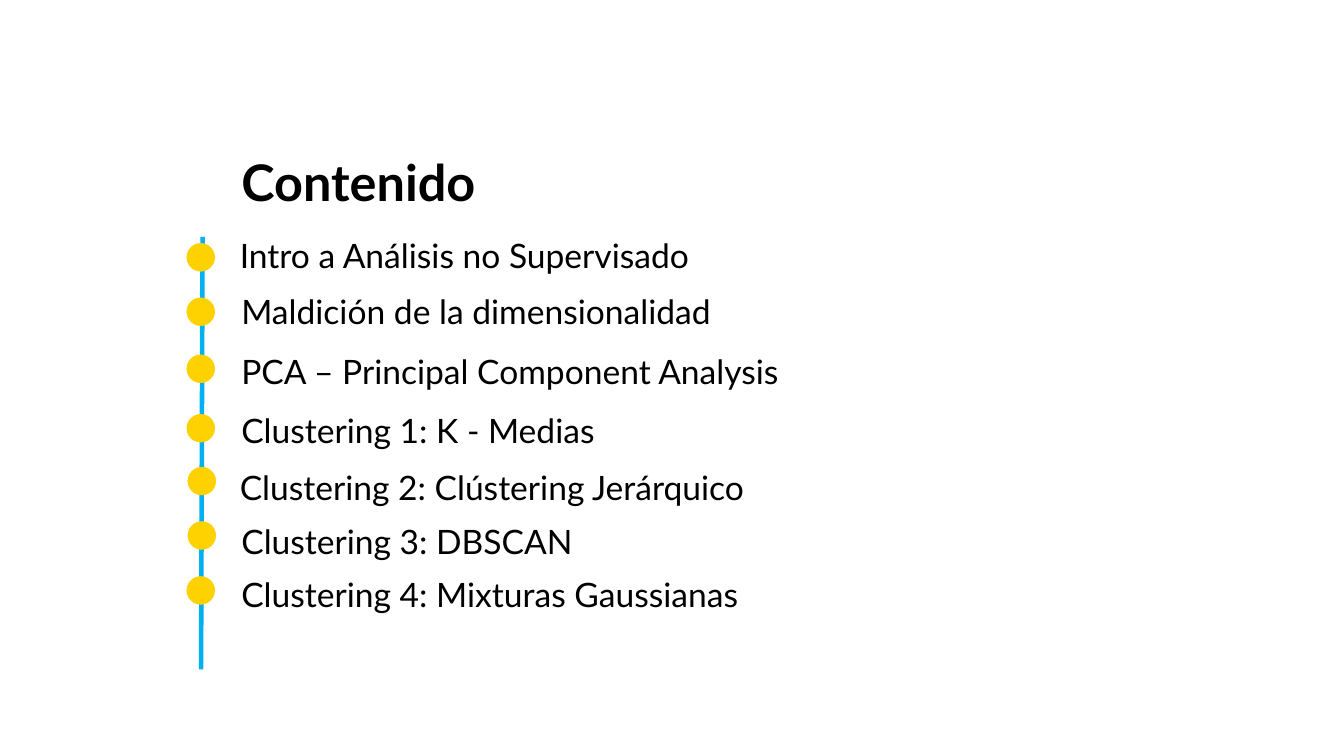
from lxml.etree import SubElement
from pptx import Presentation
from pptx.dml.color import RGBColor
from pptx.enum.shapes import MSO_CONNECTOR as Connector, MSO_SHAPE as Shape
from pptx.enum.text import MSO_ANCHOR as Anchor, MSO_AUTO_SIZE as AutoSize, PP_ALIGN as Align
from pptx.oxml.ns import qn
from pptx.util import Pt

FONT = "Lato"
BLACK, BLUE, YELLOW = "000000", "00B0F0", "FED200"
DOT_SIZE = 39.6

# text, left, top, width, alignment, dot left, dot top
TOPICS = [
    ("Intro a Análisis no Supervisado", 335.5, 332, 889, Align.LEFT, 267, 347.8),
    ("Maldición de la dimensionalidad", 337.7, 412.6, 887, Align.LEFT, 267, 425.5),
    ("PCA – Principal Component Analysis", 337.7, 497.5, 1480, Align.LEFT, 267, 507),
    ("Clustering 1: K - Medias", 337.7, 582.5, 1022, Align.JUSTIFY, 267, 592),
    ("Clustering 2: Clústering Jerárquico", 335.5, 663, 887, Align.JUSTIFY, 268.5, 667.5),
    ("Clustering 3: DBSCAN", 337.7, 740, 1126, Align.JUSTIFY, 268.5, 745.2),
    ("Clustering 4: Mixturas Gaussianas", 337.7, 817, 1357, Align.JUSTIFY, 267, 823.7),
]


def color(hex_code):
    return RGBColor.from_string(hex_code)


def write(para, text, size, bold=False):
    span = para.add_run()
    span.text = text
    font = span.font
    font.name, font.size, font.bold = FONT, Pt(size), bold
    font.color.rgb = color(BLACK)


def place_title(slide, text):
    title = slide.shapes.title
    title.left, title.top, title.width, title.height = Pt(337.7), Pt(224.6), Pt(739.4), Pt(80.6)
    frame = title.text_frame
    frame.auto_size = AutoSize.NONE
    frame.vertical_anchor = Anchor.MIDDLE
    para = frame.paragraphs[0]
    para.alignment = Align.LEFT
    para.line_spacing = 0.9
    write(para, text, 72, bold=True)


def add_timeline(slide):
    line = slide.shapes.add_connector(
        Connector.STRAIGHT, Pt(289.4), Pt(338.4), Pt(287.3), Pt(956.2))
    line.line.color.rgb = color(BLUE)
    line.line.width = Pt(6.5)
    SubElement(line._element.spPr, qn("a:effectLst"))


def add_dot(slide, left, top):
    dot = slide.shapes.add_shape(Shape.OVAL, Pt(left), Pt(top), Pt(DOT_SIZE), Pt(DOT_SIZE))
    dot.shadow.inherit = False
    dot.fill.solid()
    dot.fill.fore_color.rgb = color(YELLOW)
    dot.line.color.rgb = color(YELLOW)
    dot.line.width = Pt(1)


def add_topic(slide, text, left, top, width, alignment):
    box = slide.shapes.add_textbox(Pt(left), Pt(top), Pt(width), Pt(65.5))
    frame = box.text_frame
    frame.word_wrap = True
    frame.auto_size = AutoSize.SHAPE_TO_FIT_TEXT
    para = frame.paragraphs[0]
    para.alignment = alignment
    write(para, text, 48)


def main():
    deck = Presentation()
    deck.slide_width, deck.slide_height = Pt(1920.24), Pt(1080)
    title_only = deck.slide_layouts[5]
    slide = deck.slides.add_slide(title_only)
    place_title(slide, "Contenido")
    add_timeline(slide)
    for text, left, top, width, alignment, dot_left, dot_top in TOPICS:
        add_dot(slide, dot_left, dot_top)
        add_topic(slide, text, left, top, width, alignment)
    deck.save("out.pptx")


if __name__ == "__main__":
    main()
